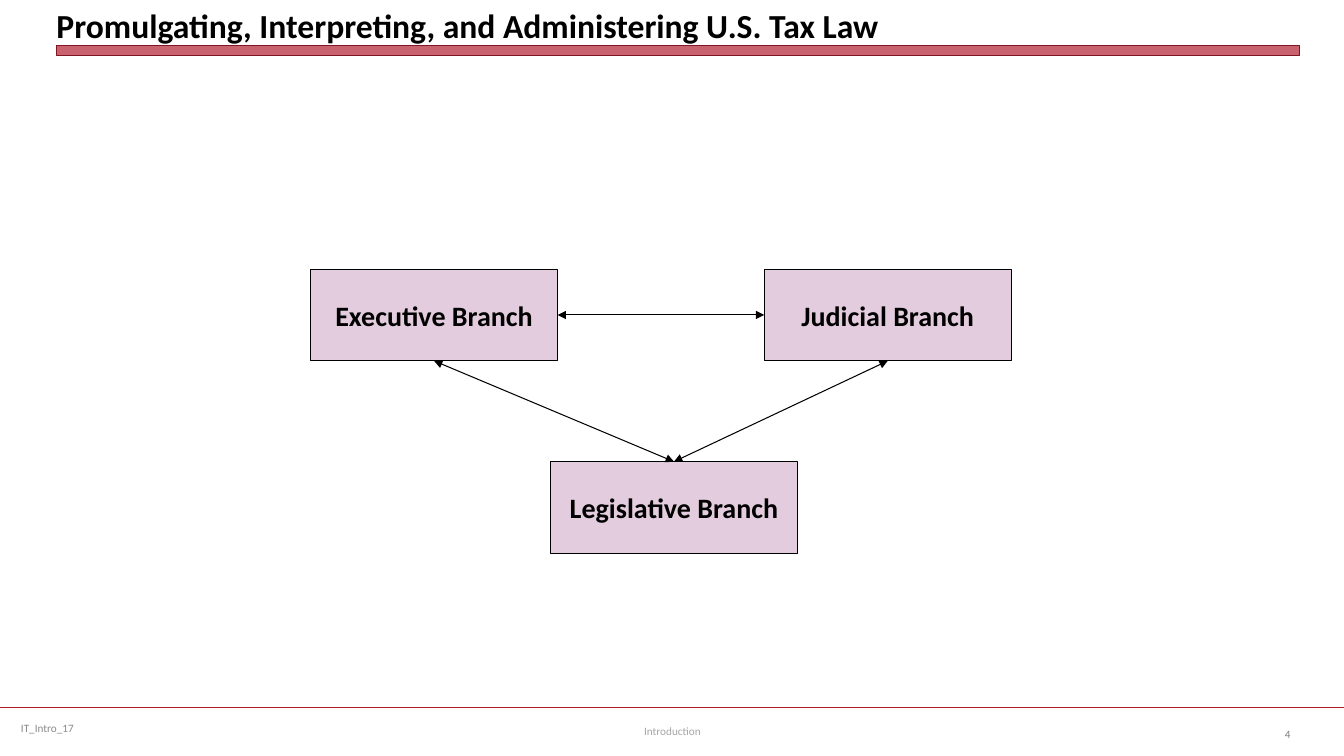
from pptx import Presentation
from pptx import util as u
from pptx.dml.color import RGBColor
from pptx.enum import shapes, text
from pptx.oxml.ns import qn
from lxml import etree

WIDTH, HEIGHT = 13.33, 7.5
MARGIN, CONTENT_WIDTH = 0.56, 12.33
BOX_WIDTH, BOX_HEIGHT = 2.45, 0.91
UPPER_ROW, LOWER_ROW = 2.67, 4.58
FONT = "Calibri"
BLACK = RGBColor(0x00, 0x00, 0x00)
CRIMSON = RGBColor(0xB0, 0x1C, 0x2E)
DARK_CRIMSON = RGBColor(0x82, 0x15, 0x22)
MAUVE = RGBColor(0xE3, 0xCC, 0xDD)
FOOTER_GRAY = RGBColor(0x89, 0x89, 0x89)
LIGHT_GRAY = RGBColor(0xA6, 0xA6, 0xA6)
NUMBER_GRAY = RGBColor(0x80, 0x80, 0x80)
LEFT, CENTER, RIGHT = text.PP_ALIGN.LEFT, text.PP_ALIGN.CENTER, text.PP_ALIGN.RIGHT
MIDDLE, BOTTOM = text.MSO_ANCHOR.MIDDLE, text.MSO_ANCHOR.BOTTOM


def inches(*lengths):
    """Convert lengths in inches to slide units."""
    return [u.Inches(length) for length in lengths]


def write(shape, words, size, color, align=LEFT, bold=False, anchor=MIDDLE):
    """Put one formatted run into a shape."""
    frame = shape.text_frame
    frame.word_wrap = True
    frame.auto_size = text.MSO_AUTO_SIZE.NONE
    frame.vertical_anchor = anchor
    paragraph = frame.paragraphs[0]
    paragraph.alignment = align
    run = paragraph.add_run()
    run.text = words
    run.font.name = FONT
    run.font.size = u.Pt(size)
    run.font.bold = bold
    run.font.color.rgb = color


def add_title(slide, words):
    """Place the title flush above the bar."""
    title = slide.shapes.title
    title.left, title.top, title.width, title.height = inches(MARGIN, 0.05, CONTENT_WIDTH, 0.4)
    frame = title.text_frame
    frame.margin_left = frame.margin_top = frame.margin_right = frame.margin_bottom = 0
    write(title, words, 24, BLACK, bold=True, anchor=BOTTOM)


def add_rectangle(slide, bounds, fill, outline, weight):
    """Add a flat outlined rectangle."""
    shape = slide.shapes.add_shape(shapes.MSO_SHAPE.RECTANGLE, *inches(*bounds))
    shape.shadow.inherit = False
    shape.fill.solid()
    shape.fill.fore_color.rgb = fill
    shape.line.color.rgb = outline
    shape.line.width = u.Pt(weight)
    return shape


def add_title_bar(slide):
    """Add the translucent bar under the title."""
    bar = add_rectangle(slide, (MARGIN, 0.45, CONTENT_WIDTH, 0.1), CRIMSON, DARK_CRIMSON, 0)
    color = bar.fill._xPr.find(qn("a:solidFill"))[0]
    etree.SubElement(color, qn("a:alpha"), val="69000")


def add_branch(slide, words, left, top):
    """Add a labelled branch of government."""
    branch = add_rectangle(slide, (left, top, BOX_WIDTH, BOX_HEIGHT), MAUVE, BLACK, 0.75)
    write(branch, words, 20, BLACK, CENTER, bold=True)
    return branch


def add_line(slide, start, end, color, weight):
    """Add a straight line without a shadow."""
    line = slide.shapes.add_connector(shapes.MSO_CONNECTOR.STRAIGHT, *inches(*start, *end))
    line.line.color.rgb = color
    line.line.width = u.Pt(weight)
    etree.SubElement(line._element.spPr, qn("a:effectLst"))
    return line


def link(slide, first, first_site, second, second_site):
    """Join two branches with a double-headed arrow."""
    arrow = add_line(slide, (0, 0), (1, 1), BLACK, 0.75)
    arrow.begin_connect(first, first_site)
    arrow.end_connect(second, second_site)
    for end in ("a:headEnd", "a:tailEnd"):
        etree.SubElement(arrow.line._get_or_add_ln(), qn(end), type="triangle")


def add_footer(slide, words, bounds, color, align):
    """Add one small footer text."""
    write(slide.shapes.add_textbox(*inches(*bounds)), words, 8, color, align)


def main():
    """Build and save the slide."""
    presentation = Presentation()
    presentation.slide_width, presentation.slide_height = inches(WIDTH, HEIGHT)
    slide = presentation.slides.add_slide(presentation.slide_layouts[5])

    add_line(slide, (0, 7.02), (WIDTH, 7.02), CRIMSON, 1.25)
    add_title_bar(slide)
    add_title(slide, "Promulgating, Interpreting, and Administering U.S. Tax Law")

    executive = add_branch(slide, "Executive Branch", 3.08, UPPER_ROW)
    judicial = add_branch(slide, "Judicial Branch", 7.58, UPPER_ROW)
    legislative = add_branch(slide, "Legislative Branch", 5.46, LOWER_ROW)
    top, left, bottom, right = range(4)
    link(slide, executive, bottom, legislative, top)
    link(slide, judicial, bottom, legislative, top)
    link(slide, executive, right, judicial, left)

    add_footer(slide, "IT_Intro_17", (0.11, 7.02, 3.44, 0.4), FOOTER_GRAY, LEFT)
    add_footer(slide, "Introduction", (4.56, 7.05, 4.22, 0.4), LIGHT_GRAY, CENTER)
    add_footer(slide, "4", (12.23, 7.08, 0.67, 0.4), NUMBER_GRAY, RIGHT)
    presentation.save("out.pptx")


if __name__ == "__main__":
    main()
